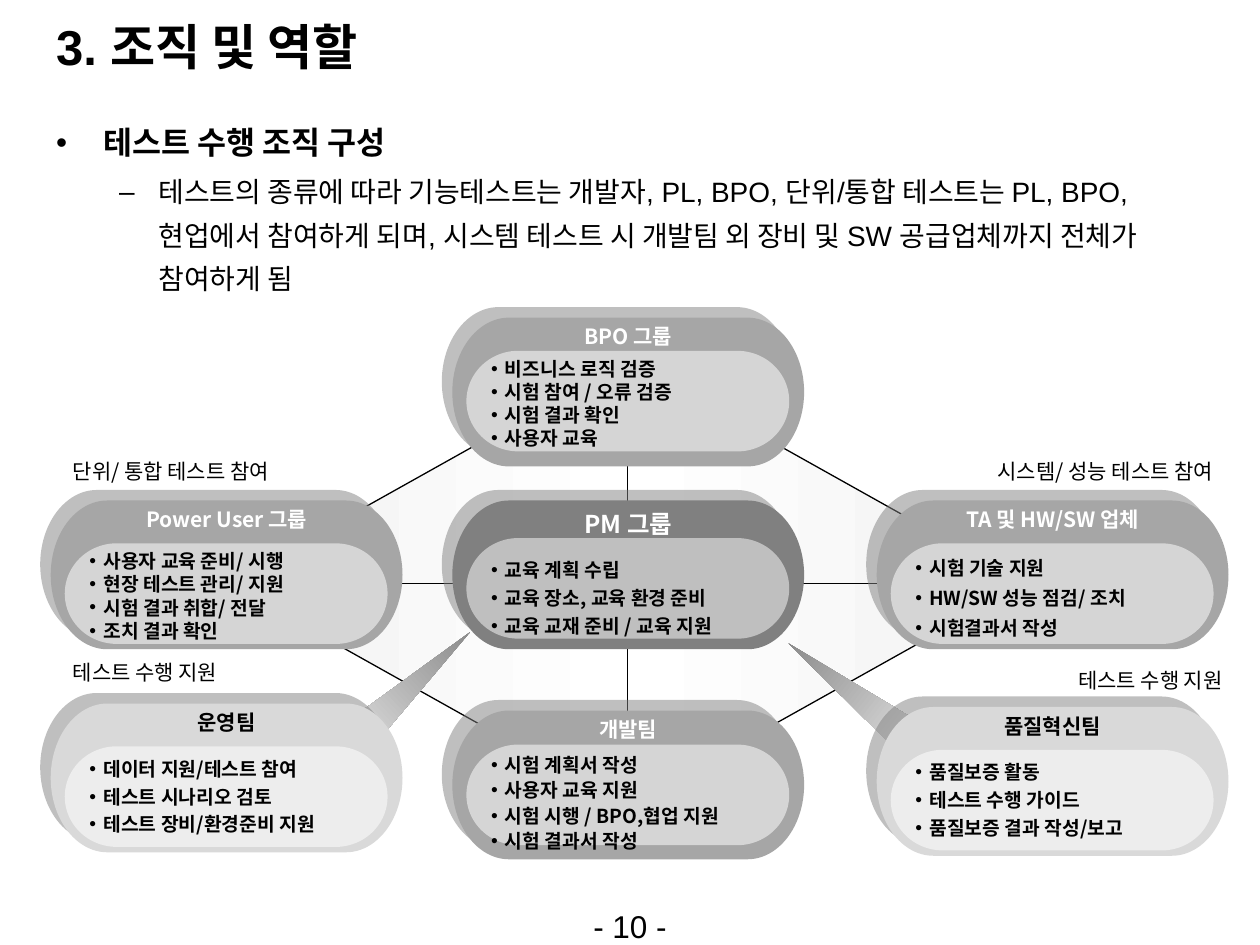
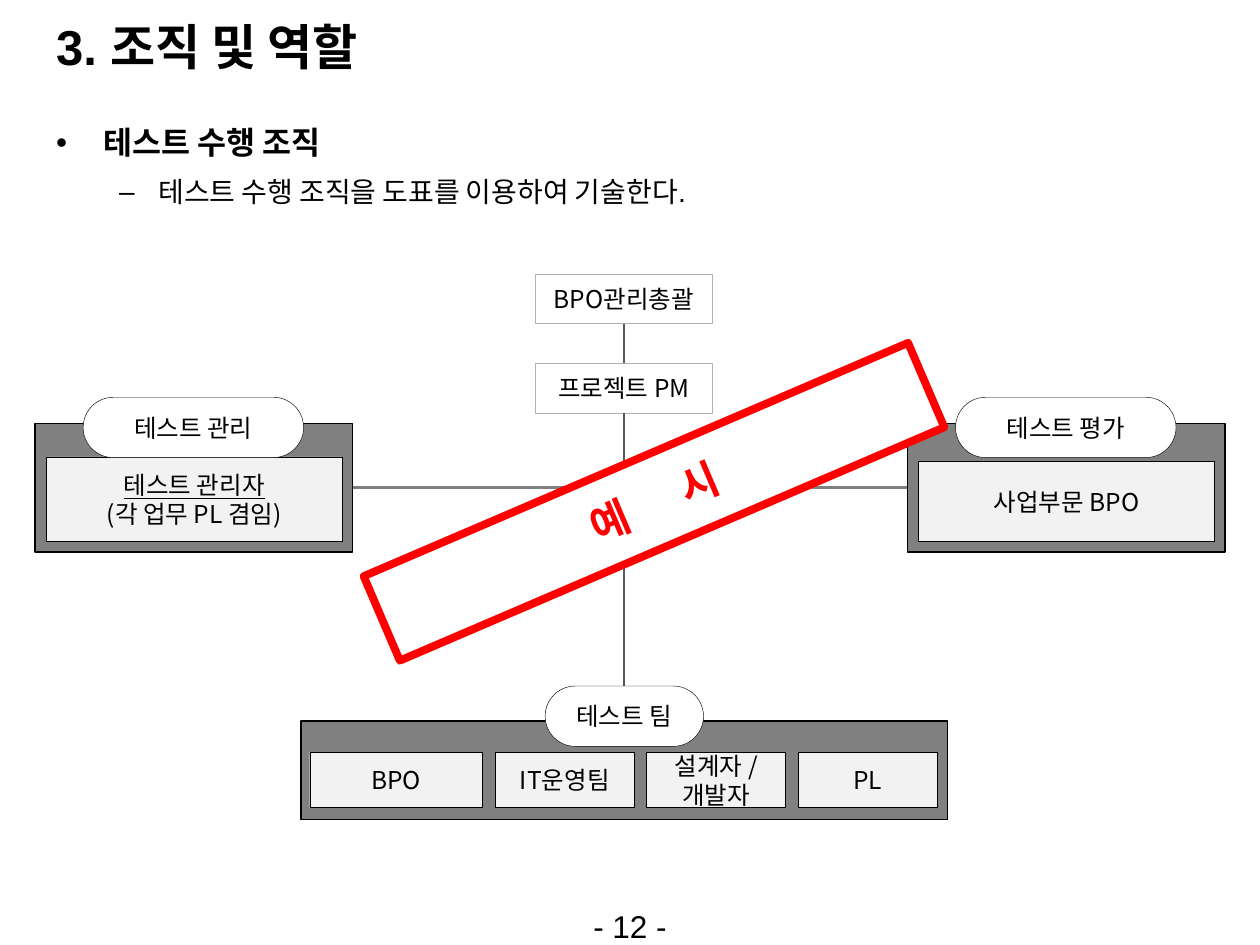
from copy import deepcopy

from lxml import etree
from pptx import Presentation
from pptx.dml.color import RGBColor
from pptx.enum.shapes import MSO_CONNECTOR, MSO_SHAPE
from pptx.enum.text import MSO_ANCHOR, PP_ALIGN
from pptx.oxml.ns import qn
from pptx.util import Pt

COLORS = {
    "black": "000000", "white": "FFFFFF", "red": "FF0000",
    "dark": "808080", "line": "595959", "group": "A6A6A6", "core": "BFBFBF",
    "frame": "B2B2B2", "support": "D9D9D9", "pale": "F2F2F2",
}
LATIN = "Arial"
KOREAN = "Noto Sans CJK KR"
GROUP_WIDTH, GROUP_HEIGHT = 201, 85
LEFT, CENTER, RIGHT = 29, 258.5, 501


def rgb(name):
    return RGBColor.from_string(COLORS[name])


def style_runs(paragraph, size, color="black", bold=False, font=KOREAN):
    for run in paragraph.runs:
        run.font.size = Pt(size)
        run.font.bold = bold
        run.font.color.rgb = rgb(color)
        run.font.name = font
        etree.SubElement(run._r.get_or_add_rPr(), qn("a:ea")).set("typeface", KOREAN)


def add_bullet(paragraph, character, margin, hanging):
    properties = paragraph._p.get_or_add_pPr()
    properties.set("marL", str(Pt(margin)))
    properties.set("indent", str(-Pt(hanging)))
    etree.SubElement(properties, qn("a:buFont")).set("typeface", LATIN)
    etree.SubElement(properties, qn("a:buChar")).set("char", character)


def add_text(slide, box, text, size, align=PP_ALIGN.LEFT, wrap=False,
             anchor=MSO_ANCHOR.TOP, **style):
    text_box = slide.shapes.add_textbox(*map(Pt, box))
    frame = text_box.text_frame
    frame.word_wrap = wrap
    frame.vertical_anchor = anchor
    frame.text = text
    for paragraph in frame.paragraphs:
        paragraph.alignment = align
        style_runs(paragraph, size, **style)
    return frame


def add_figure(slide, kind, box, fill=None, line=None, line_width=0.25):
    shape = slide.shapes.add_shape(kind, *map(Pt, box))
    shape.shadow.inherit = False
    if fill:
        shape.fill.solid()
        shape.fill.fore_color.rgb = rgb(fill)
    else:
        shape.fill.background()
    if line:
        shape.line.color.rgb = rgb(line)
        shape.line.width = Pt(line_width)
    else:
        shape.line.fill.background()
    return shape


def set_gradient(shape, colors, clockwise_angle):
    """Spread the named colours evenly along a linear gradient."""
    shape.fill.gradient()
    shape.fill.gradient_angle = -clockwise_angle % 360
    stop_list = shape._element.spPr.find(qn("a:gradFill")).find(qn("a:gsLst"))
    while len(stop_list) < len(colors):
        stop_list.append(deepcopy(stop_list[0]))
    for index, (stop, color) in enumerate(zip(shape.fill.gradient_stops, colors)):
        stop.color.rgb = rgb(color)
        stop.position = index / (len(colors) - 1)


def set_alpha(color_element, percent):
    etree.SubElement(color_element, qn("a:alpha")).set("val", str(percent * 1000))


def add_offset_shadow(shape):
    """Cast a sharp half-transparent shadow to the upper left."""
    effects = shape._element.spPr.find(qn("a:effectLst"))
    shadow = etree.SubElement(effects, qn("a:outerShdw"), blurRad="0",
                              dist=str(Pt(8.5)), dir=str(225 * 60000),
                              algn="ctr", rotWithShape="0")
    color = etree.SubElement(shadow, qn("a:srgbClr"), val=COLORS["dark"])
    set_alpha(color, 50)


def add_line(slide, start, end, color="black", width=0.75):
    connector = slide.shapes.add_connector(
        MSO_CONNECTOR.STRAIGHT, *map(Pt, (*start, *end)))
    connector.line.color.rgb = rgb(color)
    connector.line.width = Pt(width)
    etree.SubElement(connector._element.spPr, qn("a:effectLst"))


def add_page(presentation, heading, description, number):
    """Add a slide with the shared title, outline text and page number."""
    slide = presentation.slides.add_slide(presentation.slide_layouts[6])
    add_text(slide, (25, 3.5, 669, 45), "3. 조직 및 역할", 28, wrap=True,
             anchor=MSO_ANCHOR.MIDDLE, bold=True, font=LATIN)
    outline = add_text(slide, (25, 60.5, 669, 150), f"{heading}\n{description}",
                       16, wrap=True, font=LATIN)
    top, detail = outline.paragraphs
    add_bullet(top, "•", 27, 27)
    add_bullet(detail, "–", 58.5, 22.5)
    top.runs[0].font.size = Pt(18)
    top.runs[0].font.bold = True
    detail.space_before = Pt(2)
    for paragraph in outline.paragraphs:
        paragraph.line_spacing = 1.3
    add_text(slide, (312, 515, 96, 25), f"- {number} -", 18, PP_ALIGN.CENTER,
             font=LATIN)
    return slide


def add_group(slide, left, top, name, duties, spacing, inner_top=24.5,
              fill="group", color="white", core=False):
    """Add a team: shadowed capsule, name, inner capsule and duty list."""
    capsule = add_figure(slide, MSO_SHAPE.FLOWCHART_TERMINATOR,
                         (left, top, GROUP_WIDTH, GROUP_HEIGHT), fill)
    add_offset_shadow(capsule)
    inner = add_figure(slide, MSO_SHAPE.FLOWCHART_TERMINATOR,
                       (left + 8, top + inner_top, 184.5, 57.5),
                       "core" if core else "white")
    if not core:
        set_alpha(inner._element.spPr.find(qn("a:solidFill"))[0], 53)
    add_text(slide, (left, top + (1.5 if core else 0), GROUP_WIDTH, 22), name,
             14 if core else 12, PP_ALIGN.CENTER, color=color, bold=True)
    list_top = top + inner_top + (5.5 if core else 0)
    frame = add_text(slide, (left + 15, list_top, 170, 60), "\n".join(duties),
                     11, wrap=True, bold=True)
    for paragraph in frame.paragraphs:
        add_bullet(paragraph, "•", 8, 8)
        paragraph.line_spacing = spacing


def add_pointer(slide, left, top, rotation):
    pointer = add_figure(slide, MSO_SHAPE.ISOSCELES_TRIANGLE, (left, top, 28, 117.5))
    set_gradient(pointer, ("dark", "white"), 90)
    pointer.rotation = rotation


def add_label_box(slide, box, text, kind=MSO_SHAPE.RECTANGLE, fill="pale",
                  line="black", wrap=False):
    shape = add_figure(slide, kind, box, fill, line)
    if kind == MSO_SHAPE.ROUNDED_RECTANGLE:
        shape.adjustments[0] = 0.5
    frame = shape.text_frame
    frame.word_wrap = wrap
    frame.vertical_anchor = MSO_ANCHOR.MIDDLE
    frame.text = text
    for paragraph in frame.paragraphs:
        paragraph.alignment = PP_ALIGN.CENTER
        style_runs(paragraph, 14)
    return frame


def add_panel(slide, box, caption, caption_box, cells):
    """Add a dark panel with labelled cells and a rounded caption on its top edge."""
    add_figure(slide, MSO_SHAPE.RECTANGLE, box, "dark", "black", 0.75)
    frames = [add_label_box(slide, cell_box, text) for cell_box, text in cells]
    add_label_box(slide, caption_box, caption, MSO_SHAPE.ROUNDED_RECTANGLE, "white")
    return frames


def add_stamp(slide):
    stamp = add_figure(slide, MSO_SHAPE.RECTANGLE, (204.5, 260.5, 338.5, 52.5),
                       "white", "red", 4.5)
    stamp.rotation = 336.8
    frame = stamp.text_frame
    frame.vertical_anchor = MSO_ANCHOR.MIDDLE
    paragraph = frame.paragraphs[0]
    paragraph.alignment = PP_ALIGN.CENTER
    for text in ("예", " ", "시"):
        paragraph.add_run().text = text
    style_runs(paragraph, 24, "red", True)
    paragraph.runs[1]._r.get_or_add_rPr().set("spc", "2800")


def build_roles(presentation):
    slide = add_page(
        presentation, "테스트 수행 조직 구성",
        "테스트의 종류에 따라 기능테스트는 개발자, PL, BPO, 단위/통합 테스트는 PL, BPO, "
        "현업에서 참여하게 되며, 시스템 테스트 시 개발팀 외 장비 및 SW 공급업체까지 "
        "전체가 참여하게 됨", 10)
    diamond = add_figure(slide, MSO_SHAPE.DIAMOND, (130.5, 206, 455.5, 255),
                         line="black", line_width=0.75)
    set_gradient(diamond, ("pale", "white", "pale"), 0)
    add_line(slide, (358.5, 204), (358.5, 459.5))
    add_line(slide, (130.5, 333.5), (586, 333.5))

    add_group(slide, CENTER, 181.5, "BPO 그룹",
              ("비즈니스 로직 검증", "시험 참여 / 오류 검증", "시험 결과 확인",
               "사용자 교육"), 1.0, 19)
    add_group(slide, CENTER, 406, "개발팀",
              ("시험 계획서 작성", "사용자 교육 지원", "시험 시행 / BPO,협업 지원",
               "시험 결과서 작성"), 1.1, 19.5)
    add_group(slide, RIGHT, 286, "TA 및 HW/SW 업체",
              ("시험 기술 지원", "HW/SW 성능 점검/ 조치", "시험결과서 작성"), 1.3)
    add_group(slide, LEFT, 286, "Power User 그룹",
              ("사용자 교육 준비/ 시행", "현장 테스트 관리/ 지원",
               "시험 결과 취합/ 전달", "조치 결과 확인"), 1.0)
    add_pointer(slide, 483, 345, 307.9)
    add_pointer(slide, 211.5, 342.5, 47.1)
    add_group(slide, RIGHT, 404, "품질혁신팀",
              ("품질보증 활동", "테스트 수행 가이드", "품질보증 결과 작성/보고"),
              1.2, fill="support", color="black")
    add_group(slide, CENTER, 286, "PM 그룹",
              ("교육 계획 수립", "교육 장소, 교육 환경 준비",
               "교육 교재 준비 / 교육 지원"), 1.2, 21.5, fill="dark", core=True)
    add_group(slide, LEFT, 402, "운영팀",
              ("데이터 지원/테스트 참여", "테스트 시나리오 검토",
               "테스트 장비/환경준비 지원"), 1.2, fill="support", color="black")

    for left, top, width, text in (
            (34.5, 258.5, 141, "단위/ 통합 테스트 참여"),
            (34.5, 373.5, 107, "테스트 수행 지원"),
            (563, 258.5, 152.5, "시스템/ 성능 테스트 참여"),
            (609, 378, 107, "테스트 수행 지원")):
        add_text(slide, (left, top, width, 21.5), text, 12)


def build_chart(presentation):
    slide = add_page(presentation, "테스트 수행 조직",
                     "테스트 수행 조직을 도표를 이용하여 기술한다.", 12)
    for top, text in ((156.5, "BPO관리총괄"), (207.5, "프로젝트 PM")):
        add_label_box(slide, (306, top, 101, 28.5), text, fill=None, line="frame")
    add_line(slide, (356.5, 185), (356.5, 207.5), "line", 1.5)
    add_line(slide, (201.5, 278.5), (518.5, 278.5), "dark", 1.5)
    add_line(slide, (356.5, 236), (356.5, 392), "line", 1.5)

    for left, caption, cell_top, text in (
            (20, "테스트 관리", 261, "테스트 관리자\n(각 업무 PL 겸임)"),
            (518.5, "테스트 평가", 263.5, "사업부문 BPO")):
        cell = ((left + 6.5, cell_top, 169, 309.5 - cell_top), text)
        frame, = add_panel(slide, (left, 242, 181.5, 73.5), caption,
                           (left + 27.5, 227, 126, 34.5), [cell])
        if len(frame.paragraphs) > 1:
            frame.paragraphs[0].runs[0].font.underline = True

    cells = [((177, 430, 98.5, 31.5), "BPO")]
    for index, text in enumerate(("IT운영팀", "설계자 /\n개발자", "PL")):
        cells.append(((283 + 86.5 * index, 430, 79.5, 31.5), text))
    add_panel(slide, (172, 412, 369.5, 56.5), "테스트 팀",
              (311.5, 392, 90.5, 34.5), cells)
    add_stamp(slide)


def main():
    presentation = Presentation()
    presentation.slide_width = Pt(720)
    presentation.slide_height = Pt(540)
    build_roles(presentation)
    build_chart(presentation)
    presentation.save("out.pptx")


if __name__ == "__main__":
    main()
